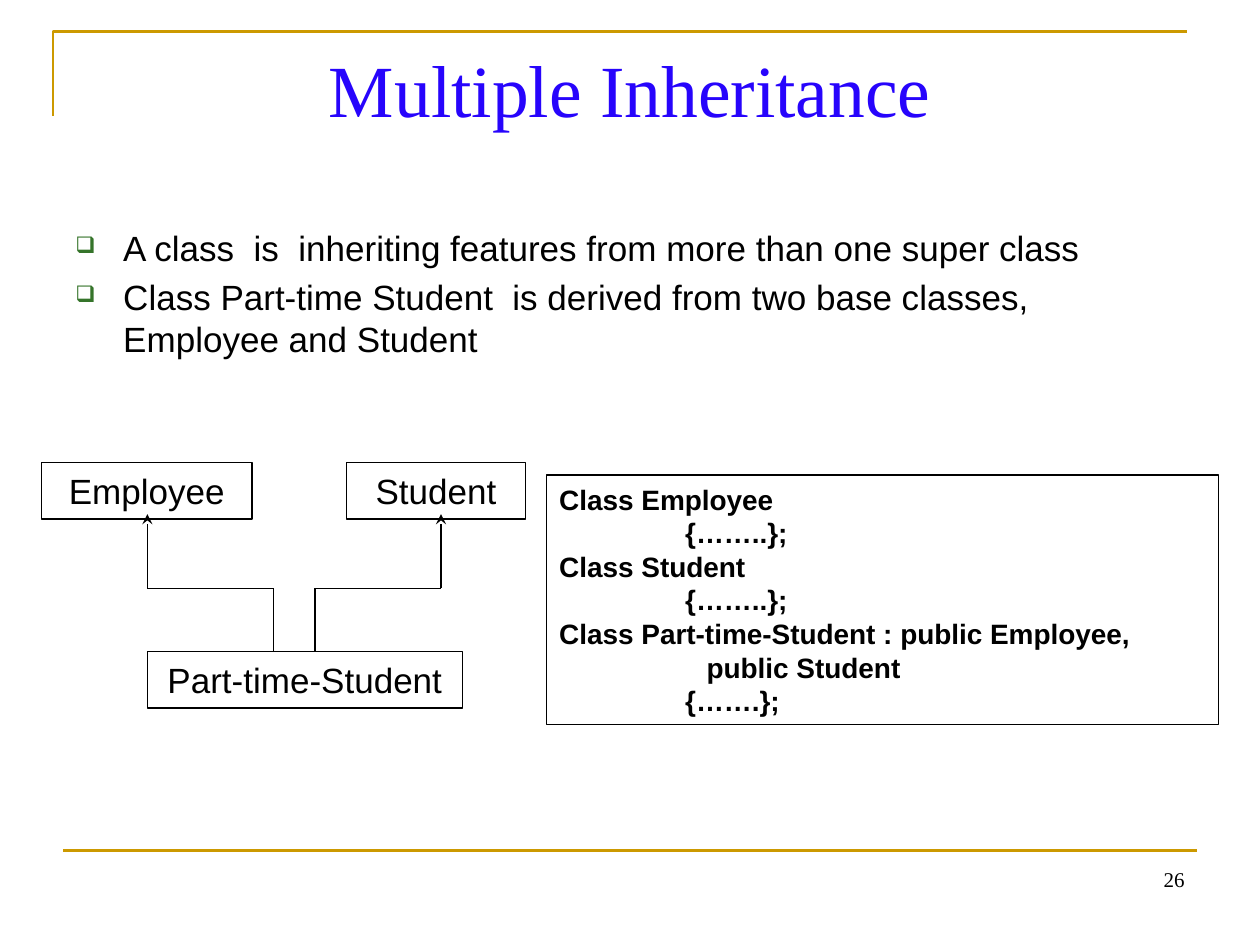
from lxml import etree
from pptx import Presentation
from pptx.dml.color import RGBColor
from pptx.enum import shapes, text
from pptx.oxml.ns import qn
from pptx.util import Inches, Pt

BLACK, WHITE, GOLD, BLUE, GREEN = "000000", "FFFFFF", "CC9900", "2704FC", "35742A"


def color(value):
    return RGBColor.from_string(value)


def style(para, size, name="Arial", fill=BLACK, bold=False):
    for span in para.runs:
        span.font.size, span.font.name, span.font.bold = Pt(size), name, bold
        span.font.color.rgb = color(fill)


def indent(para, left, first=0):
    props = para._p.get_or_add_pPr()
    props.set("marL", str(Inches(left)))
    props.set("indent", str(Inches(first)))
    return props


def add_line(page, start, end, fill=BLACK, width=0.75, arrow=False):
    line = page.shapes.add_connector(
        shapes.MSO_CONNECTOR.STRAIGHT, *map(Inches, (*start, *end)))
    line.line.color.rgb = color(fill)
    line.line.width = Pt(width)
    if arrow:
        etree.SubElement(line.line._get_or_add_ln(), qn("a:tailEnd"), type="stealth")
    etree.SubElement(line._element.spPr, qn("a:effectLst"))


def add_box(page, left, top, width, height):
    box = page.shapes.add_shape(
        shapes.MSO_SHAPE.RECTANGLE, *map(Inches, (left, top, width, height)))
    box.shadow.inherit = False
    box.fill.solid()
    box.fill.fore_color.rgb = color(WHITE)
    box.line.color.rgb = color(BLACK)
    box.line.width = Pt(0.75)
    box.text_frame.vertical_anchor = text.MSO_ANCHOR.MIDDLE
    return box


def add_frame(page, left, top, width, height):
    """Gold corner above the title and gold rule above the page number."""
    builder = page.shapes.build_freeform(
        Inches(left), Inches(top + 0.67), scale=1.0)
    builder.add_line_segments(
        [(Inches(left), Inches(top)), (Inches(left + width), Inches(top))], close=False)
    corner = builder.convert_to_shape()
    corner.shadow.inherit = False
    corner.fill.background()
    corner.line.color.rgb = color(GOLD)
    corner.line.width = Pt(1.5)
    bottom = top + height
    add_line(page, (left + 0.08, bottom), (left + 0.08 + width, bottom), GOLD, 1.5)


def set_title(page, left, top, width, height):
    title = page.shapes.title
    title.left, title.top, title.width, title.height = map(
        Inches, (left, top, width, height))
    title.text_frame.text = "Multiple Inheritance"
    title.text_frame.vertical_anchor = text.MSO_ANCHOR.TOP
    para = title.text_frame.paragraphs[0]
    para.alignment = text.PP_ALIGN.CENTER
    style(para, 42, "Times New Roman", BLUE)


def add_bullets(page, left, top, width, height):
    box = page.shapes.add_textbox(*map(Inches, (left, top, width, height)))
    frame = box.text_frame
    frame.word_wrap = True
    frame.text = (
        "A class  is  inheriting features from more than one super class\n"
        "Class Part-time Student  is derived from two base classes, Employee and Student")
    for number, para in enumerate(frame.paragraphs):
        if number:
            para.space_before = Pt(4)
        props = indent(para, 0.38, -0.38)
        tint = etree.SubElement(props, qn("a:buClr"))
        etree.SubElement(tint, qn("a:srgbClr"), val=GREEN)
        etree.SubElement(props, qn("a:buSzPct"), val="65000")
        etree.SubElement(props, qn("a:buChar"), char="❑")
        style(para, 20)


def add_class_diagram(page, left, top):
    """Two base classes over the class derived from both."""
    height, child_top = 0.45, top + 1.5
    for name, x, y, width in (("Employee", 0, top, 1.67),
                              ("Student", 2.42, top, 1.42),
                              ("Part-time-Student", 0.84, child_top, 2.5)):
        box = add_box(page, left + x, y, width, height)
        box.text_frame.text = name
        box.text_frame.word_wrap = False
        para = box.text_frame.paragraphs[0]
        para.alignment = text.PP_ALIGN.CENTER
        style(para, 20)
    bend, tip = top + 1, top + 0.41
    for child_x, parent_x in ((1.84, 0.84), (2.17, 3.17)):
        child_x, parent_x = left + child_x, left + parent_x
        add_line(page, (child_x, child_top), (child_x, bend))
        add_line(page, (child_x, bend), (parent_x, bend))
        add_line(page, (parent_x, bend), (parent_x, tip), arrow=True)


def add_code(page, left, top, width, height):
    lines = (("Class Employee", 0), ("{……..};", 1),
             ("Class Student", 0), ("{……..};", 1),
             ("Class Part-time-Student : public Employee,", 0),
             ("public Student", 1.17), ("{…….};", 1))
    frame = add_box(page, left, top, width, height).text_frame
    frame.word_wrap = True
    frame.text = "\n".join(line for line, _ in lines)
    for para, (_, offset) in zip(frame.paragraphs, lines):
        para.alignment = text.PP_ALIGN.LEFT
        indent(para, offset)
        style(para, 16, bold=True)


def add_page_number(page, left, top, width, height):
    box = page.shapes.add_textbox(*map(Inches, (left, top, width, height)))
    box.text_frame.word_wrap = True
    box.text_frame.text = "26"
    para = box.text_frame.paragraphs[0]
    para.alignment = text.PP_ALIGN.RIGHT
    style(para, 12, "Times New Roman")


def main():
    deck = Presentation()
    deck.slide_width, deck.slide_height = Inches(10), Inches(7.5)
    page = deck.slides.add_slide(deck.slide_layouts[5])
    add_frame(page, 0.42, 0.25, 9, 6.5)
    set_title(page, 0.5, 0.3, 9, 1.25)
    add_bullets(page, 0.5, 1.75, 9, 4.95)
    add_page_number(page, 7.17, 6.83, 2.33, 0.52)
    add_class_diagram(page, 0.33, 3.67)
    add_code(page, 4.34, 3.77, 5.33, 1.98)
    deck.save("out.pptx")


if __name__ == "__main__":
    main()
